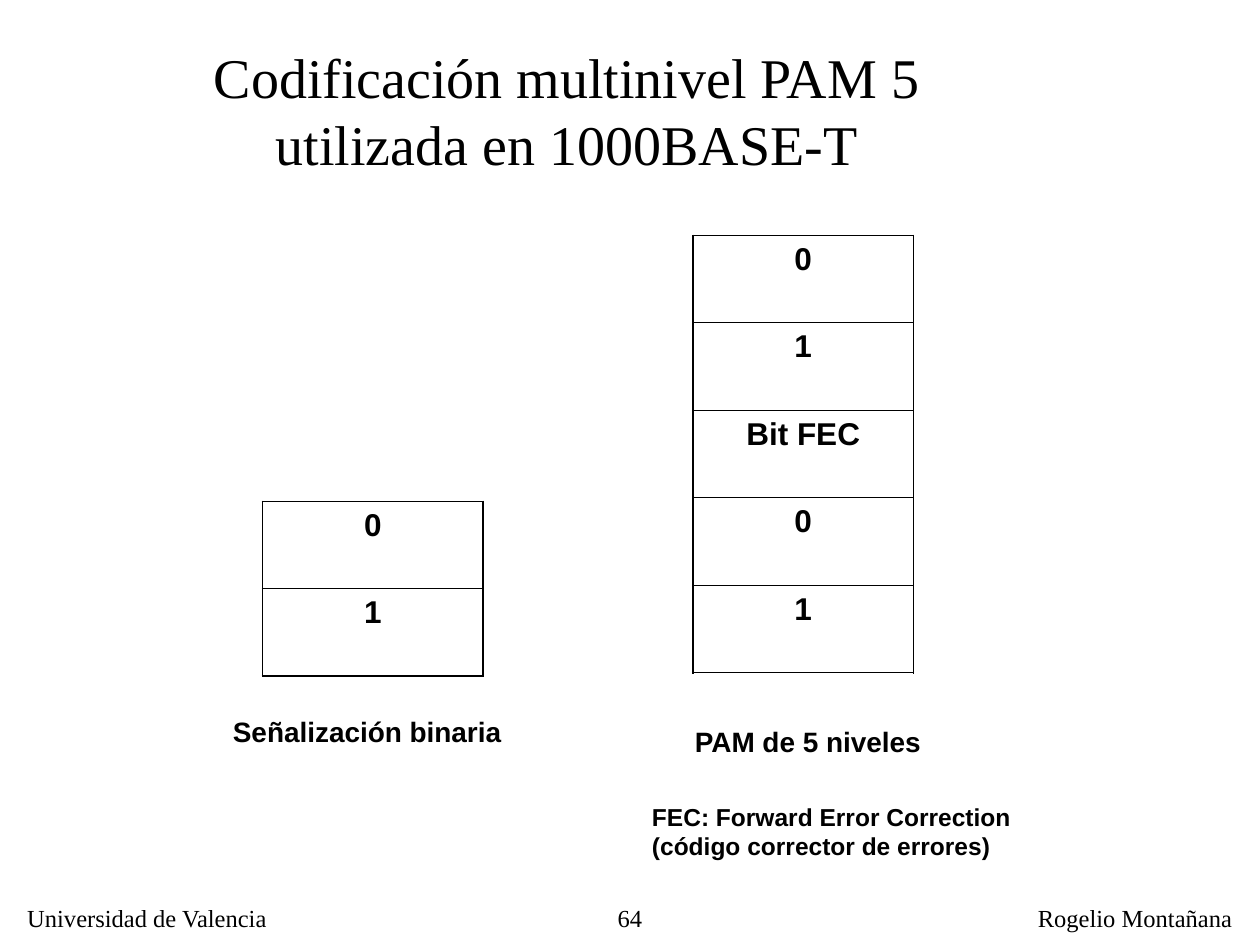
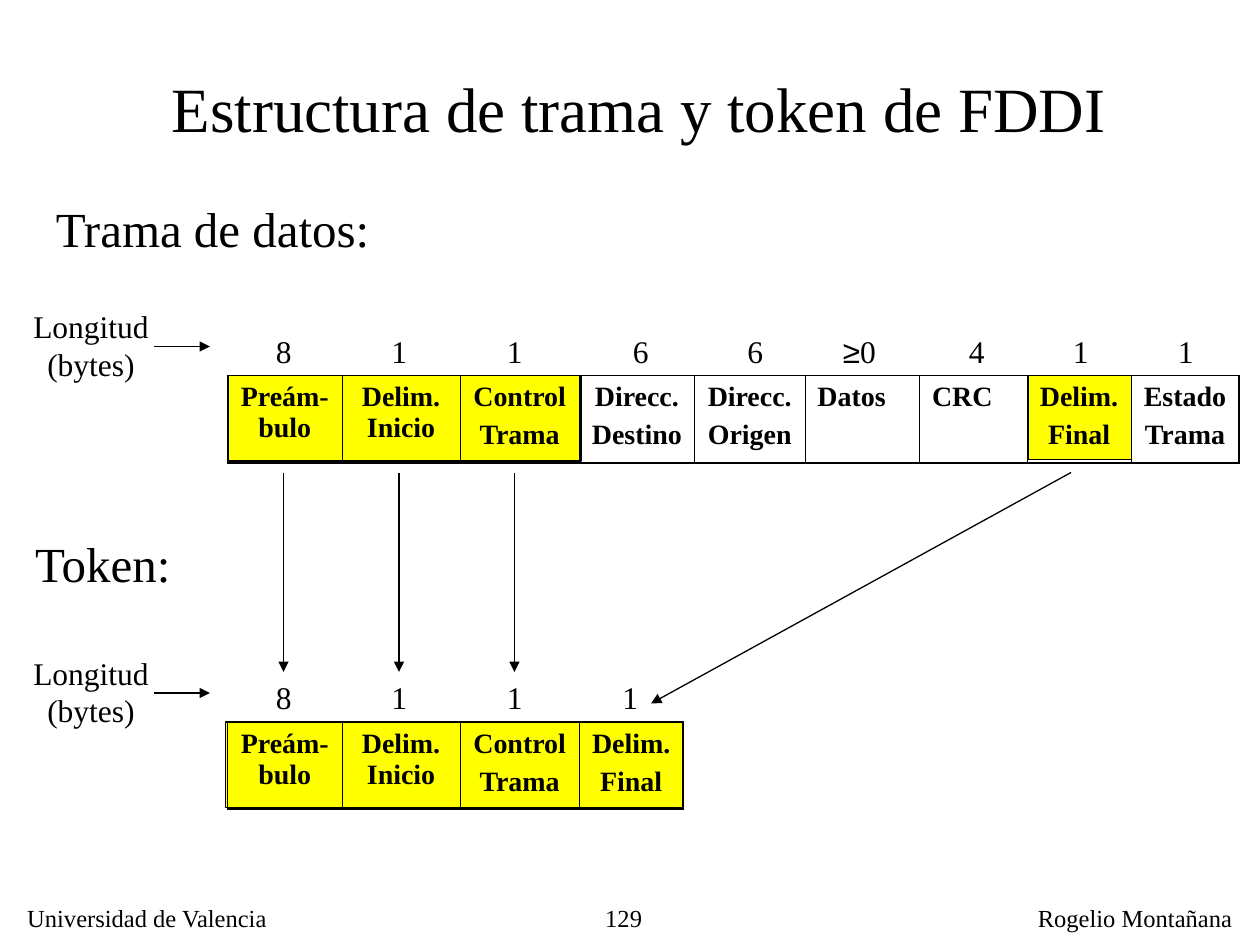
from itertools import groupby

from lxml import etree
from pptx import Presentation
from pptx import util as u
from pptx.dml.color import RGBColor
from pptx.enum import shapes, text
from pptx.oxml.ns import qn

PX = 6350  # 144 px to the inch
BLACK = RGBColor(0x00, 0x00, 0x00)
YELLOW = RGBColor(0xFF, 0xFF, 0x00)
SERIF, SANS = "Times New Roman", "Arial"
LEFT, CENTER, RIGHT = text.PP_ALIGN.LEFT, text.PP_ALIGN.CENTER, text.PP_ALIGN.RIGHT
OUTER, INNER = u.Pt(1.08), u.Pt(0.45)


def write_text(frame, lines, size=18, font=SERIF, bold=False, align=LEFT, before=0):
    for number, line in enumerate(lines):
        paragraph = frame.add_paragraph() if number else frame.paragraphs[0]
        paragraph.alignment = align
        paragraph.space_before = u.Pt(before)
        # The comparison sign is always set in the sans font
        for is_sign, letters in groupby(line, key=lambda letter: letter == "≥"):
            run = paragraph.add_run()
            run.text = "".join(letters)
            run.font.name = SANS if is_sign else font
            run.font.size = u.Pt(size)
            run.font.bold = bold
            run.font.color.rgb = BLACK


def add_label(slide, box, lines, wrap=False, **text_format):
    label = slide.shapes.add_textbox(*[length * PX for length in box])
    frame = label.text_frame
    frame.word_wrap = wrap
    frame.auto_size = text.MSO_AUTO_SIZE.NONE if wrap else text.MSO_AUTO_SIZE.SHAPE_TO_FIT_TEXT
    write_text(frame, lines, **text_format)
    return label


presentation = Presentation()
presentation.slide_width, presentation.slide_height = 1440 * PX, 1080 * PX

# Slides with their shared footer
slides = []
for page in ("64", "129"):
    slide = presentation.slides.add_slide(presentation.slide_layouts[6])
    add_label(slide, (595, 1025, 153, 45), [page], wrap=True, size=14, align=RIGHT)
    add_label(slide, (17, 1025, 310, 49), ["Universidad de Valencia"], size=14)
    add_label(slide, (1172, 1025, 260, 49), ["Rogelio Montañana"], size=14)
    slides.append(slide)
pam, fddi = slides

# PAM 5: title and captions
add_label(pam, (226, 41, 844, 168),
          ["Codificación multinivel PAM 5", "utilizada en 1000BASE-T"], size=32, align=CENTER)
add_label(pam, (731, 909, 450, 82),
          ["FEC: Forward Error Correction", "(código corrector de errores)"],
          size=14, font=SANS, bold=True)
add_label(pam, (252, 809, 340, 53), ["Señalización binaria"], size=16, font=SANS, bold=True)
add_label(pam, (780, 821, 294, 53), ["PAM de 5 niveles"], size=16, font=SANS, bold=True)

# FDDI: title and headings
add_label(fddi, (180, 72, 1100, 101), ["Estructura de trama y token de FDDI"],
          size=36, align=CENTER)
add_label(fddi, (46, 220, 394, 82), ["Trama de datos:"], size=28, align=CENTER)
add_label(fddi, (22, 603, 191, 82), ["Token:"], size=28, align=CENTER)

# Yellow bands behind the fields that the frame and the token share
for box in ((258, 825, 523, 98), (1175, 429, 118, 96), (261, 429, 403, 98)):
    band = fddi.shapes.add_shape(shapes.MSO_SHAPE.RECTANGLE, *[length * PX for length in box])
    band.shadow.inherit = False
    band.fill.solid()
    band.fill.fore_color.rgb = YELLOW
    band.line.color.rgb = BLACK
    band.line.width = u.Pt(0.75)

# Fields: column width, name, left of the length label, length in bytes
frame_fields = [
    (131, ["Preám-bulo"], 301, "8"),
    (135, ["Delim. Inicio"], 433, "1"),
    (136, ["Control", "Trama"], 565, "1"),
    (132, ["Direcc.", "Destino"], 709, "6"),
    (126, ["Direcc.", "Origen"], 840, "6"),
    (131, ["Datos"], 949, "≥0"),
    (123, ["CRC"], 1093, "4"),
    (119, ["Delim.", "Final"], 1212, "1"),
    (123, ["Estado", "Trama"], 1332, "1"),
]
token_fields = frame_fields[:3] + [(119, ["Delim.", "Final"], 697, "1")]

# Tables: slide, left, top, column widths, rows of cells, text format
level_format = dict(size=18, font=SANS, bold=True, before=4.5)
field_format = dict(size=16, bold=True, before=4)
tables = [
    (pam, 792, 269, [252], [[[level]] for level in ("0", "1", "Bit FEC", "0", "1")], level_format),
    (pam, 300, 573, [252], [[[level]] for level in ("0", "1")], level_format),
]
arrows = [((1224, 540), (744, 804), None)]
for drop, fields in ((0, frame_fields), (396, token_fields)):
    tables.append((fddi, 260, 429 + drop, [field[0] for field in fields],
                   [[field[1] for field in fields]], field_format))
    add_label(fddi, (14, 344 + drop, 180, 101), ["Longitud", "(bytes)"], align=CENTER)
    arrows.append(((176, 396 + drop), (240, 396 + drop), None))
    length_labels = [
        add_label(fddi, (left, 372 + drop, 75 if "≥" in length else 46, 58), [length])
        for width, name, left, length in fields]

for slide, left, top, widths, rows, text_format in tables:
    table = slide.shapes.add_table(len(rows), len(widths), left * PX, top * PX,
                                   sum(widths) * PX, 100 * len(rows) * PX).table
    table.first_row = table.horz_banding = False
    for column, width in zip(table.columns, widths):
        column.width = width * PX
    for r, row in enumerate(rows):
        table.rows[r].height = 100 * PX
        for c, lines in enumerate(row):
            cell = table.cell(r, c)
            cell.fill.background()
            align = LEFT if lines[0] in ("Datos", "CRC") else CENTER
            write_text(cell.text_frame, lines, align=align, **text_format)
            # Heavy lines around the table, thin ones between cells
            sides = (("a:lnL", c == 0), ("a:lnR", c == len(row) - 1),
                     ("a:lnT", r == 0), ("a:lnB", r == len(rows) - 1))
            properties = cell._tc.get_or_add_tcPr()
            for position, (side, is_outer) in enumerate(sides):
                border = etree.Element(qn(side), w=str(OUTER if is_outer else INNER))
                fill = etree.SubElement(border, qn("a:solidFill"))
                etree.SubElement(fill, qn("a:srgbClr"), val=str(BLACK))
                properties.insert(position, border)

# Arrows from the shared fields down to the token lengths
for x, label in zip((324, 456, 588), length_labels):
    arrows.append(((x, 540), (x, 768), label))
for start, end, target in arrows:
    arrow = fddi.shapes.add_connector(shapes.MSO_CONNECTOR.STRAIGHT,
                                      *[length * PX for length in start + end])
    if target:
        arrow.end_connect(target, 0)
    arrow.line.color.rgb = BLACK
    arrow.line.width = u.Pt(0.75)
    etree.SubElement(arrow.line._get_or_add_ln(), qn("a:tailEnd"), type="triangle")
    etree.SubElement(arrow._element.spPr, qn("a:effectLst"))

presentation.save("out.pptx")
